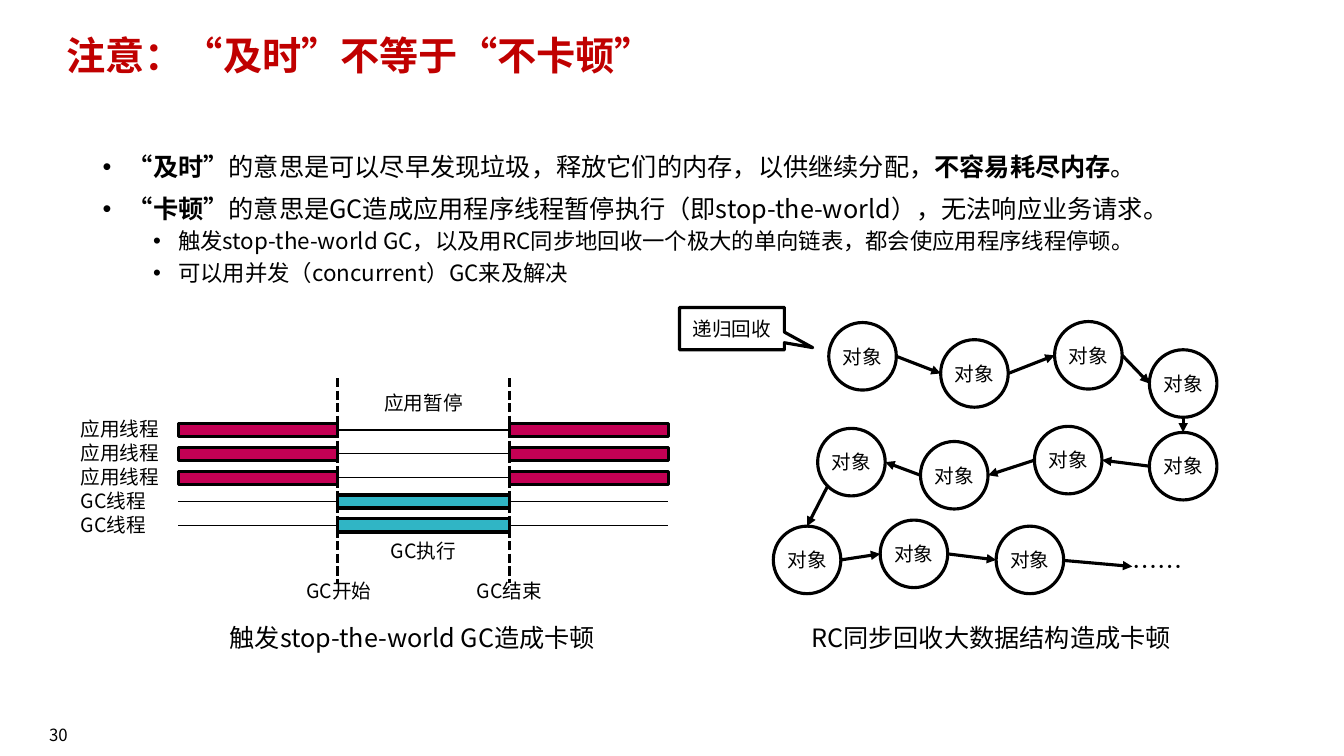
from lxml import etree
from pptx import Presentation
from pptx import util as u
from pptx.dml.color import RGBColor
from pptx.enum import dml, shapes, text
from pptx.oxml.ns import qn

BLACK = RGBColor(0x00, 0x00, 0x00)
WHITE = RGBColor(0xFF, 0xFF, 0xFF)
TITLE_RED = RGBColor(0xC0, 0x00, 0x00)
APP_RED = RGBColor(0xC4, 0x00, 0x54)
GC_TEAL = RGBColor(0x30, 0xB5, 0xC5)
FONT = "Noto Sans CJK SC"
CELL = u.Inches(0.1)
LEFT, CENTER = text.PP_ALIGN.LEFT, text.PP_ALIGN.CENTER
TOP, MIDDLE = text.MSO_ANCHOR.TOP, text.MSO_ANCHOR.MIDDLE


def write(para, words, size, align=LEFT, bold=False, color=BLACK):
    para.alignment = align
    span = para.add_run()
    span.text = words
    for name, value in {"name": FONT, "size": u.Pt(size), "bold": bold}.items():
        setattr(span.font, name, value)
    span.font.color.rgb = color
    properties = span.font._element
    properties.set("lang", "zh-CN")
    etree.SubElement(properties, qn("a:ea"), typeface=FONT)


def draw_line(start, end, width=2.25, dash=None, arrow=False):
    ends = [round(place * CELL) for place in (*start, *end)]
    line = page.shapes.add_connector(shapes.MSO_CONNECTOR.STRAIGHT, *ends)
    line.line.color.rgb = BLACK
    line.line.width = u.Pt(width)
    if dash:
        line.line.dash_style = dash
    properties = line._element.spPr
    if arrow:
        etree.SubElement(properties.find(qn("a:ln")), qn("a:tailEnd"), type="triangle")
    etree.SubElement(properties, qn("a:effectLst"))


deck = Presentation()
deck.slide_width, deck.slide_height = u.Inches(13.33), u.Inches(7.5)
page = deck.slides.add_slide(deck.slide_layouts[5])

title = page.shapes.title
title_format = {"left": 5.6, "top": 3.1, "width": 115, "height": 6.5}
for name, value in title_format.items():
    setattr(title, name, round(value * CELL))
title.text_frame.auto_size = text.MSO_AUTO_SIZE.NONE
title.text_frame.vertical_anchor = TOP
title.text_frame.paragraphs[0].line_spacing = 0.9
write(title.text_frame.paragraphs[0], "注意：“及时”不等于“不卡顿”", 28, bold=True, color=TITLE_RED)

points = [
    (0, 18, [("“及时”", True),
             ("的意思是可以尽早发现垃圾，释放它们的内存，以供继续分配，", False),
             ("不容易耗尽内存", True), ("。", False)]),
    (0, 18, [("“卡顿”", True),
             ("的意思是GC造成应用程序线程暂停执行（即stop-the-world），无法响应业务请求。", False)]),
    (1, 16, [("触发stop-the-world GC，以及用RC同步地回收一个极大的单向链表，都会使应用程序线程停顿。", False)]),
    (1, 16, [("可以用并发（concurrent）GC来及解决", False)]),
]
body = page.shapes.add_textbox(*[round(place * CELL) for place in (9.2, 14.9, 115, 15)])
body.text_frame.word_wrap = True
for index, (level, size, spans) in enumerate(points):
    para = body.text_frame.add_paragraph() if index else body.text_frame.paragraphs[0]
    para.level = level
    para.line_spacing = 0.9
    if index:
        para.space_before = u.Pt(5 if level else 10)
    properties = para._p.get_or_add_pPr()
    properties.set("marL", str(u.Inches(0.25 + 0.5 * level)))
    properties.set("indent", str(-u.Inches(0.25)))
    etree.SubElement(properties, qn("a:buFont"), typeface="Arial")
    etree.SubElement(properties, qn("a:buChar"), char="•")
    for words, bold in spans:
        write(para, words, size, bold=bold)

AXIS_LEFT, GC_START, GC_END, AXIS_RIGHT = 17.7, 33.5, 50.5, 66.3
BAR_TOP, BAR_HEIGHT, ROW = 42, 1.3, 2.37
threads = ["应用线程"] * 3 + ["GC线程"] * 2
labels = [
    ("GC开始", 29, 57.4, 9.2, 2.4, 14, CENTER),
    ("GC结束", 45.9, 57.4, 9.2, 2.4, 14, CENTER),
    ("应用暂停", GC_START, 38.8, 17, 2.4, 14, CENTER),
    ("GC执行", GC_START, 53.5, 17, 2.4, 14, CENTER),
    ("触发stop-the-world GC造成卡顿", 20.9, 61.7, 40, 3, 18, CENTER),
    ("RC同步回收大数据结构造成卡顿", 78.3, 61.7, 40, 3, 18, CENTER),
    ("……", 112.3, 54.7, 6, 3, 18, LEFT),
    ("30", 0, 71.9, 11.6, 2.2, 12, CENTER),
]
bars = []
for row, thread in enumerate(threads):
    top = BAR_TOP + row * ROW
    middle = top + BAR_HEIGHT / 2
    draw_line((AXIS_LEFT, middle), (AXIS_RIGHT, middle), width=1)
    labels.append((thread, 8, top - 0.6, 9.8, 2.4, 14, LEFT))
    if thread == "GC线程":
        bars.append((GC_START, GC_END, top, GC_TEAL))
    else:
        bars += [(AXIS_LEFT, GC_START, top, APP_RED), (GC_END, AXIS_RIGHT, top, APP_RED)]

for start, end, top, color in bars:
    place = [round(value * CELL) for value in (start, top, end - start, BAR_HEIGHT)]
    bar = page.shapes.add_shape(shapes.MSO_SHAPE.RECTANGLE, *place)
    bar.shadow.inherit = False
    bar.fill.solid()
    bar.fill.fore_color.rgb = color
    bar.line.color.rgb = BLACK
    bar.line.width = u.Pt(2.25)

for moment in (GC_START, GC_END):
    draw_line((moment, 37.5), (moment, 57.8), dash=dml.MSO_LINE.SQUARE_DOT)

no_margins = dict.fromkeys(("margin_left", "margin_top", "margin_right", "margin_bottom"), 0)
for words, left, top, width, height, size, align in labels:
    box = page.shapes.add_textbox(*[round(value * CELL) for value in (left, top, width, height)])
    for name, value in {**no_margins, "word_wrap": True}.items():
        setattr(box.text_frame, name, value)
    write(box.text_frame.paragraphs[0], words, size, align)

DIAMETER = 6.7
RIGHT_SIDE, LEFT_SIDE = (1, 0.5), (0, 0.5)
TOP_SIDE, BOTTOM_SIDE, LOWER_LEFT = (0.5, 0), (0.5, 1), (0.15, 0.85)
objects = [
    (82.2, 32), (93.3, 33.7), (104.6, 31.9), (114, 34.7),
    (114, 42.9), (102.6, 42.3), (91.3, 43.8), (81.1, 42.5),
    (76.7, 52.2), (87.3, 51.6), (98.8, 52.2),
]
turns = [(RIGHT_SIDE, LEFT_SIDE)] * 2 + [(RIGHT_SIDE, LEFT_SIDE), (BOTTOM_SIDE, TOP_SIDE)]
turns += [(LEFT_SIDE, RIGHT_SIDE)] * 3 + [(LOWER_LEFT, TOP_SIDE)] + [(RIGHT_SIDE, LEFT_SIDE)] * 2

outlined = [(shapes.MSO_SHAPE.OVAL, "对象", left, top, DIAMETER, DIAMETER) for left, top in objects]
outlined.append((shapes.MSO_SHAPE.RECTANGULAR_CALLOUT, "递归回收", 67.4, 30.5, 10.4, 4.2))
for kind, words, left, top, width, height in outlined:
    place = [round(value * CELL) for value in (left, top, width, height)]
    shape = page.shapes.add_shape(kind, *place)
    shape.shadow.inherit = False
    shape.line.color.rgb = BLACK
    shape.line.width = u.Pt(2.25)
    for name, value in {**no_margins, "vertical_anchor": MIDDLE}.items():
        setattr(shape.text_frame, name, value)
    write(shape.text_frame.paragraphs[0], words, 14, CENTER)
    if kind == shapes.MSO_SHAPE.OVAL:
        shape.fill.solid()
        shape.fill.fore_color.rgb = WHITE
    else:
        shape.fill.background()
        shape.adjustments[0], shape.adjustments[1] = 0.77, 0.45

for source, target, sides in zip(objects, objects[1:], turns):
    start, end = [
        (left + across * DIAMETER, top + down * DIAMETER)
        for (left, top), (across, down) in zip((source, target), sides)
    ]
    draw_line(start, end, arrow=True)
draw_line((105.5, 55.6), (112.3, 56.2), arrow=True)

deck.save("out.pptx")
